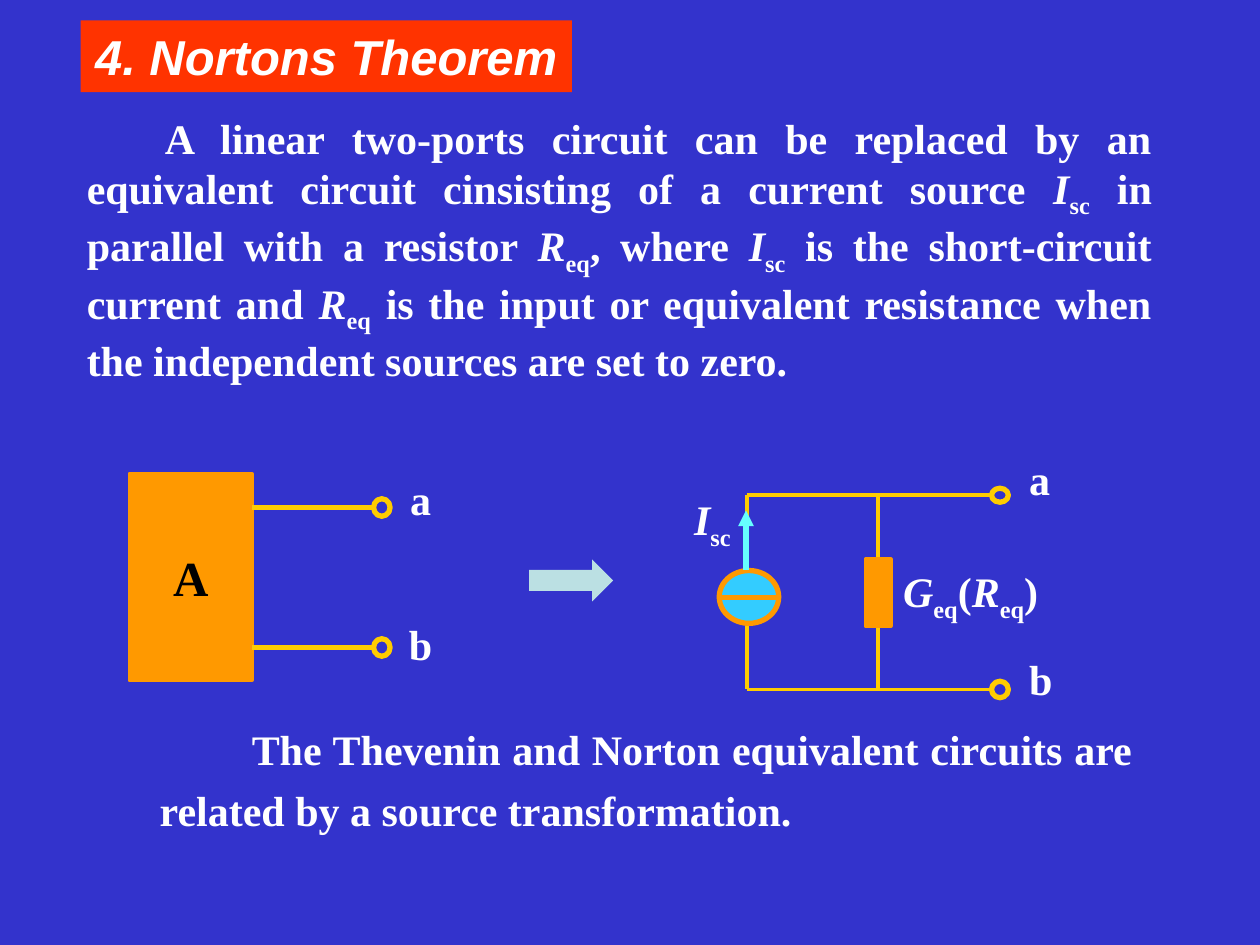
"""Build the Norton's theorem slide with its two equivalent circuits."""
from lxml.etree import SubElement
from pptx import Presentation
from pptx.dml.color import RGBColor
from pptx.enum.shapes import MSO_CONNECTOR, MSO_SHAPE
from pptx.enum.text import MSO_ANCHOR, MSO_AUTO_SIZE, PP_ALIGN
from pptx.oxml.ns import qn
from pptx.util import Pt

COLORS = {
    "background": "3333CC", "title": "FF3300", "text": "FFFFFF", "black": "000000",
    "arrow": "BBE0E3", "part": "FF9900", "wire": "FFCC00", "source": "33CCFF",
    "current": "66FFFF",
}

THEOREM = (
    "A linear two-ports circuit can be replaced by an equivalent circuit cinsisting "
    "of a current source |/I|_sc| in parallel with a resistor |/R|_eq|, where |/I|_sc"
    "| is the short-circuit current and |/R|_eq| is the input or equivalent resistance "
    "when the independent sources are set to zero."
)
CLOSING = ("The Thevenin and Norton equivalent circuits are related by a source "
           "transformation.")


def rgb(name):
    """Return the named colour."""
    return RGBColor.from_string(COLORS[name])


def write(sp, text, size=24, font="Times New Roman", color="text", italic=False,
          align=PP_ALIGN.LEFT, anchor=MSO_ANCHOR.TOP, wrap=True, indent=0, spacing=1.0):
    """Write runs parted by bars; a leading / is italic and a leading _ is subscript."""
    tf = sp.text_frame
    tf.word_wrap, tf.auto_size, tf.vertical_anchor = wrap, MSO_AUTO_SIZE.NONE, anchor
    p = tf.paragraphs[0]
    p.alignment, p.line_spacing, p.space_before = align, spacing, Pt(0)
    if indent:
        pPr = p._p.get_or_add_pPr()
        pPr.set("marL", "0")
        pPr.set("indent", str(Pt(indent)))
    for part in text.split("|"):
        r = p.add_run()
        r.text = part.lstrip("/_")
        f = r.font
        f.name, f.size, f.bold = font, Pt(size), True
        f.italic = italic or part.startswith("/")
        f.color.rgb = rgb(color)
        if part.startswith("_"):
            r._r.get_or_add_rPr().set("baseline", "-25000")


def add_text(s, box, text, **fmt):
    """Add a text box."""
    write(s.shapes.add_textbox(*map(Pt, box)), text, **fmt)


def add_shape(s, kind, box, fill=None, line=None, width=3):
    """Add a preset shape with an optional fill and outline."""
    sp = s.shapes.add_shape(kind, *map(Pt, box))
    sp.shadow.inherit = False
    if fill:
        sp.fill.solid()
        sp.fill.fore_color.rgb = rgb(fill)
    else:
        sp.fill.background()
    if line:
        sp.line.color.rgb = rgb(line)
        sp.line.width = Pt(width)
    else:
        sp.line.fill.background()
    return sp


def add_wire(s, x1, y1, x2, y2, color="wire", width=2.25, arrow=False):
    """Add a straight wire, with an arrowhead at its end on request."""
    c = s.shapes.add_connector(MSO_CONNECTOR.STRAIGHT, *map(Pt, (x1, y1, x2, y2)))
    c.line.color.rgb = rgb(color)
    c.line.width = Pt(width)
    if arrow:
        SubElement(c.line._get_or_add_ln(), qn("a:tailEnd"), type="triangle")
    SubElement(c._element.spPr, qn("a:effectLst"))


def add_title(s):
    """Place and format the title."""
    sp = s.shapes.title
    sp.left, sp.top, sp.width, sp.height = map(Pt, (46, 11.7, 280.8, 41))
    sp.fill.solid()
    sp.fill.fore_color.rgb = rgb("title")
    write(sp, "4. Nortons Theorem", size=28, font="Arial", italic=True,
          align=PP_ALIGN.CENTER, anchor=MSO_ANCHOR.MIDDLE, wrap=False)


def add_network(s):
    """Draw network A with its two terminals."""
    sp = add_shape(s, MSO_SHAPE.RECTANGLE, (74, 270.7, 70, 118), "part", "part", 2.25)
    write(sp, "A", size=28, color="black", align=PP_ALIGN.CENTER,
          anchor=MSO_ANCHOR.MIDDLE)
    for label, y, label_top in (("a", 290, 267.2), ("b", 370, 350)):
        add_wire(s, 144, y, 213.8, y, width=3)
        add_shape(s, MSO_SHAPE.OVAL, (213.5, y - 5, 9.4, 10), line="wire")
        add_text(s, (226.8, label_top, 27, 36), label, align=PP_ALIGN.CENTER,
                 anchor=MSO_ANCHOR.MIDDLE, wrap=False)


def add_norton(s):
    """Draw the current source in parallel with the resistor."""
    left, middle, right, top, bottom = 426.7, 501.8, 566.6, 283, 394
    for label, y, label_top, height in (("a", top, 255.6, 8), ("b", bottom, 370, 9.4)):
        add_wire(s, left, y, right, y)
        add_shape(s, MSO_SHAPE.OVAL, (right, y - height / 2, 9.6, height), line="wire")
        add_text(s, (581, label_top, 50, 36), label)
    for x, part_top, part_bottom in ((left, 326, 357), (middle, 319.7, 357.8)):
        add_wire(s, x, top, x, part_top)
        add_wire(s, x, part_bottom, x, bottom)
    add_shape(s, MSO_SHAPE.RECTANGLE, (494.6, 319.7, 14.4, 38.1), "part", "part", 2.25)
    add_shape(s, MSO_SHAPE.OVAL, (411, 326, 34, 30.2), "source", "part")
    add_wire(s, 411, 341.3, 445, 341.3, color="part", width=3)
    add_wire(s, 426.3, 325.5, 426.3, 291.6, color="current", width=3, arrow=True)
    add_text(s, (389.5, 278.6, 65, 36), "/I|_sc")
    add_text(s, (509, 319.7, 107, 36), "/G|_eq|(|/R|_eq|)")


def main():
    """Build and save the slide."""
    prs = Presentation()
    prs.slide_width, prs.slide_height = Pt(720), Pt(540)
    s = prs.slides.add_slide(prs.slide_layouts[5])
    s.background.fill.solid()
    s.background.fill.fore_color.rgb = rgb("background")
    add_title(s)
    add_text(s, (42.5, 60.5, 622.8, 152.6), THEOREM, align=PP_ALIGN.JUSTIFY,
             indent=44.6)
    add_network(s)
    add_shape(s, MSO_SHAPE.RIGHT_ARROW, (302.4, 319.7, 48, 24), "arrow")
    add_norton(s)
    add_text(s, (84.2, 404, 570, 77), CLOSING, align=PP_ALIGN.JUSTIFY,
             anchor=MSO_ANCHOR.MIDDLE, indent=52.6, spacing=1.2)
    prs.save("out.pptx")


if __name__ == "__main__":
    main()
